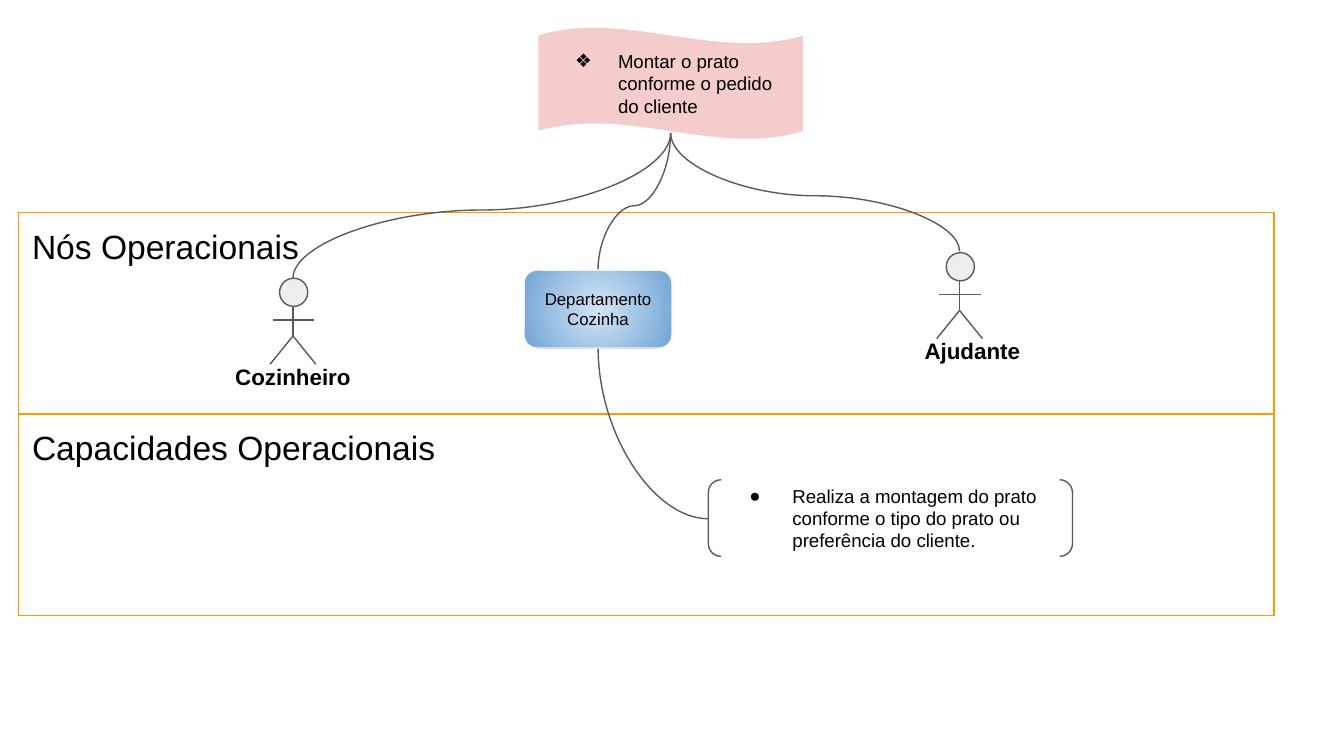
from lxml.etree import SubElement
from pptx import Presentation
from pptx.dml.color import RGBColor
from pptx.enum.shapes import MSO_CONNECTOR, MSO_SHAPE
from pptx.enum.text import MSO_ANCHOR, PP_ALIGN
from pptx.oxml.ns import qn
from pptx.util import Inches, Pt

BLACK = RGBColor(0, 0, 0)
WHITE = RGBColor(0xFF, 0xFF, 0xFF)
ORANGE = RGBColor(0xFF, 0x99, 0x00)
PINK = RGBColor(0xF4, 0xCC, 0xCC)
GRAY = RGBColor(0x59, 0x59, 0x59)
LIGHT = RGBColor(0xEE, 0xEE, 0xEE)
PALE = RGBColor(0xF3, 0xF3, 0xF3)
SKY = RGBColor(0xD4, 0xE5, 0xF5)
BLUE = RGBColor(0x70, 0xA4, 0xD5)


def write(box, text, size, bold=False, align=PP_ALIGN.LEFT,
          anchor=MSO_ANCHOR.TOP, bullet=None):
    frame = box.text_frame
    frame.word_wrap = True
    frame.vertical_anchor = anchor
    frame.margin_left = frame.margin_right = Inches(0.1)
    frame.margin_top = frame.margin_bottom = Inches(0.1)
    para = frame.paragraphs[0]
    para.alignment = align
    span = para.add_run()
    span.text = text
    span.font.name = "Arial"
    span.font.size = Pt(size)
    span.font.bold = bold
    span.font.color.rgb = BLACK
    if bullet:
        props = para._p.get_or_add_pPr()
        props.set("marL", str(Inches(0.5)))
        props.set("indent", str(Inches(-0.32)))
        SubElement(props, qn("a:buFont")).set("typeface", "Arial")
        SubElement(props, qn("a:buChar")).set("char", bullet)


def add_box(shapes, kind, left, top, width, height, line, fill=None):
    box = shapes.add_shape(kind, Inches(left), Inches(top),
                           Inches(width), Inches(height))
    box.shadow.inherit = False
    box.line.color.rgb = line
    box.line.width = Pt(0.75)
    if fill is None:
        box.fill.background()
    else:
        box.fill.solid()
        box.fill.fore_color.rgb = fill
    return box


def add_line(shapes, start, end, kind=MSO_CONNECTOR.STRAIGHT):
    line = shapes.add_connector(kind, *(Inches(value) for value in start + end))
    line.line.color.rgb = GRAY
    line.line.width = Pt(0.75)
    SubElement(line._element.spPr, qn("a:effectLst"))
    return line


def add_curve(shapes, start, end, bend=None):
    run, rise = end[0] - start[0], end[1] - start[1]
    center_x, center_y = (start[0] + end[0]) / 2, (start[1] + end[1]) / 2
    half_width, half_height = abs(rise) / 2, abs(run) / 2
    left, right = center_x - half_width, center_x + half_width
    if (run > 0) == (rise > 0):
        left, right = right, left
    curve = add_line(shapes, (left, center_y - half_height),
                     (right, center_y + half_height), MSO_CONNECTOR.CURVE)
    props = curve._element.spPr
    turn = 270 if run > 0 else 90
    props.find(qn("a:xfrm")).set("rot", str(turn * 60000))
    geometry = props.find(qn("a:prstGeom"))
    if bend is None:
        geometry.set("prst", "curvedConnector2")
    else:
        values = geometry.find(qn("a:avLst"))
        if values is None:
            values = SubElement(geometry, qn("a:avLst"))
        guide = SubElement(values, qn("a:gd"))
        guide.set("name", "adj1")
        guide.set("fmla", f"val {round(bend * 100000)}")


def add_lane(page, left, top, title):
    lane = add_box(page.shapes, MSO_SHAPE.RECTANGLE, left, top, 9.34, 1.5, ORANGE)
    write(lane, title, 18)


def add_actor(page, center, top, name, label_left, label_width):
    parts = page.shapes.add_group_shape().shapes
    add_box(parts, MSO_SHAPE.FLOWCHART_CONNECTOR, center - 0.1, top,
            0.21, 0.21, GRAY, LIGHT)
    hip = (center, top + 0.43)
    limbs = [
        ((center, top + 0.21), hip),
        ((center - 0.15, top + 0.31), (center + 0.16, top + 0.31)),
        (hip, (center - 0.17, top + 0.64)),
        ((center + 0.17, top + 0.64), hip),
    ]
    for start, end in limbs:
        add_line(parts, start, end)
    label = parts.add_textbox(Inches(label_left), Inches(top + 0.53),
                              Inches(label_width), Inches(0.38))
    write(label, name, 12, bold=True, align=PP_ALIGN.CENTER)


def add_goal(page, left, top, width, height):
    goal = add_box(page.shapes, MSO_SHAPE.WAVE, left, top, width, height, WHITE, PINK)
    goal.adjustments[0] = 0.07
    goal.adjustments[1] = 0
    write(goal, "Montar o prato conforme o pedido do cliente", 10,
          anchor=MSO_ANCHOR.MIDDLE, bullet="❖")


def add_department(page, left, top, width, height):
    department = add_box(page.shapes, MSO_SHAPE.ROUNDED_RECTANGLE,
                         left, top, width, height, PALE)
    department.fill.gradient()
    for stop, color in zip(department.fill.gradient_stops, (SKY, BLUE)):
        stop.color.rgb = color
    gradient = department._element.spPr.find(qn("a:gradFill"))
    gradient.remove(gradient.find(qn("a:lin")))
    shade = SubElement(gradient, qn("a:path"))
    shade.set("path", "circle")
    center = SubElement(shade, qn("a:fillToRect"))
    for side in "ltrb":
        center.set(side, "50000")
    write(department, "Departamento Cozinha", 9, align=PP_ALIGN.CENTER,
          anchor=MSO_ANCHOR.MIDDLE)


def add_capability(page, left, top, width, height):
    capability = add_box(page.shapes, MSO_SHAPE.DOUBLE_BRACKET,
                         left, top, width, height, GRAY)
    write(capability, "Realiza a montagem do prato conforme o tipo do prato "
          "ou preferência do cliente.", 10, anchor=MSO_ANCHOR.MIDDLE, bullet="●")


deck = Presentation()
deck.slide_width = Inches(10)
deck.slide_height = Inches(10) * 9 // 16
page = deck.slides.add_slide(deck.slide_layouts[6])

goal_foot = (4.99, 0.99)
add_lane(page, 0.14, 1.58, "Nós Operacionais")
add_goal(page, 4, 0.2, 1.98, 0.84)
add_actor(page, 2.18, 2.07, "Cozinheiro", 1.62, 1.12)
add_curve(page.shapes, (4.45, 2.01), goal_foot, 0.47)
add_lane(page, 0.14, 3.08, "Capacidades Operacionais")
add_curve(page.shapes, (2.18, 2.07), goal_foot, 0.47)
add_actor(page, 7.14, 1.88, "Ajudante", 6.69, 1.09)
add_curve(page.shapes, (7.14, 1.87), goal_foot, 0.47)
add_curve(page.shapes, (4.45, 2.59), (5.27, 3.86))
add_capability(page, 5.27, 3.57, 2.71, 0.57)
add_department(page, 3.9, 2.01, 1.1, 0.58)

deck.save("out.pptx")
